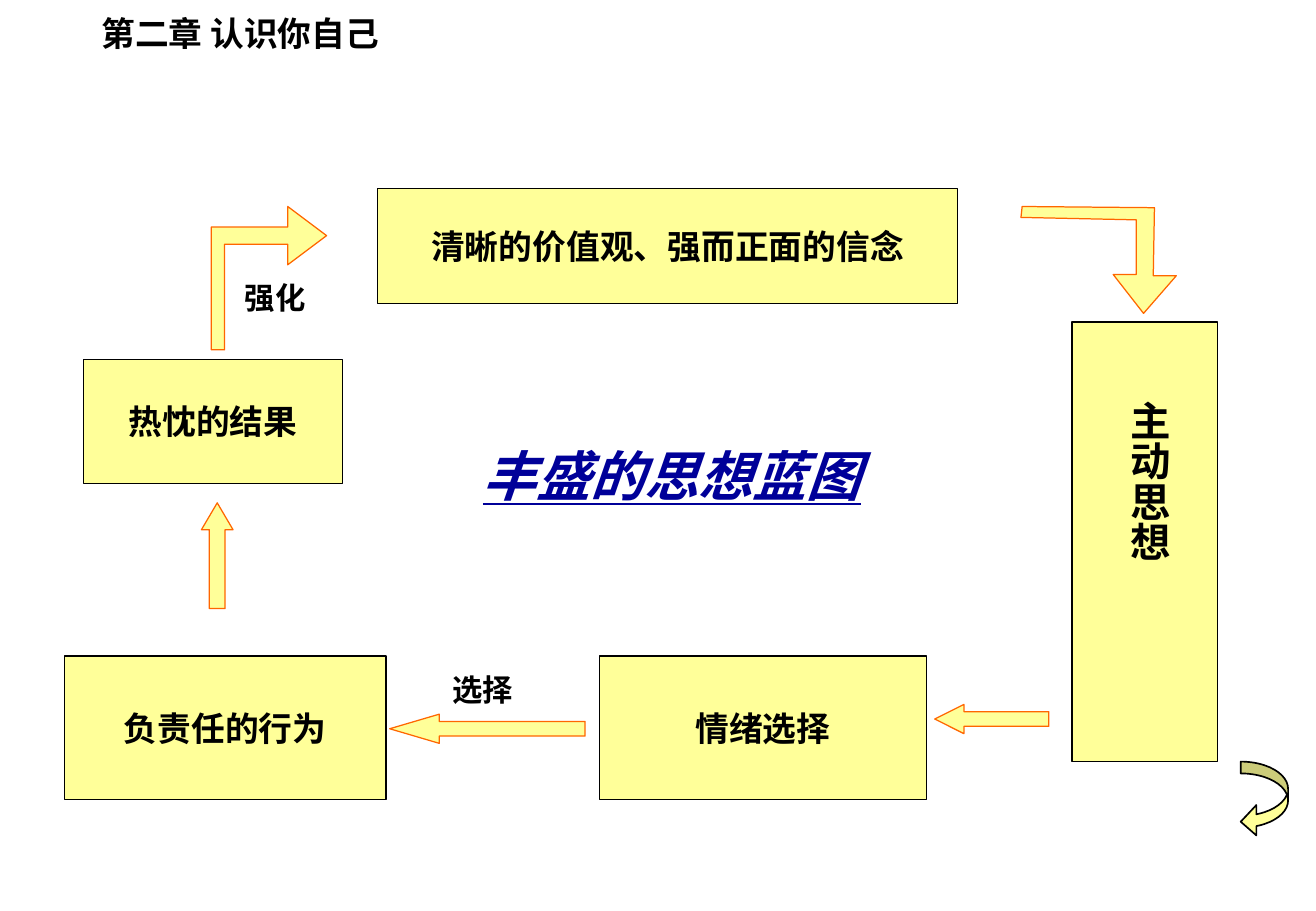
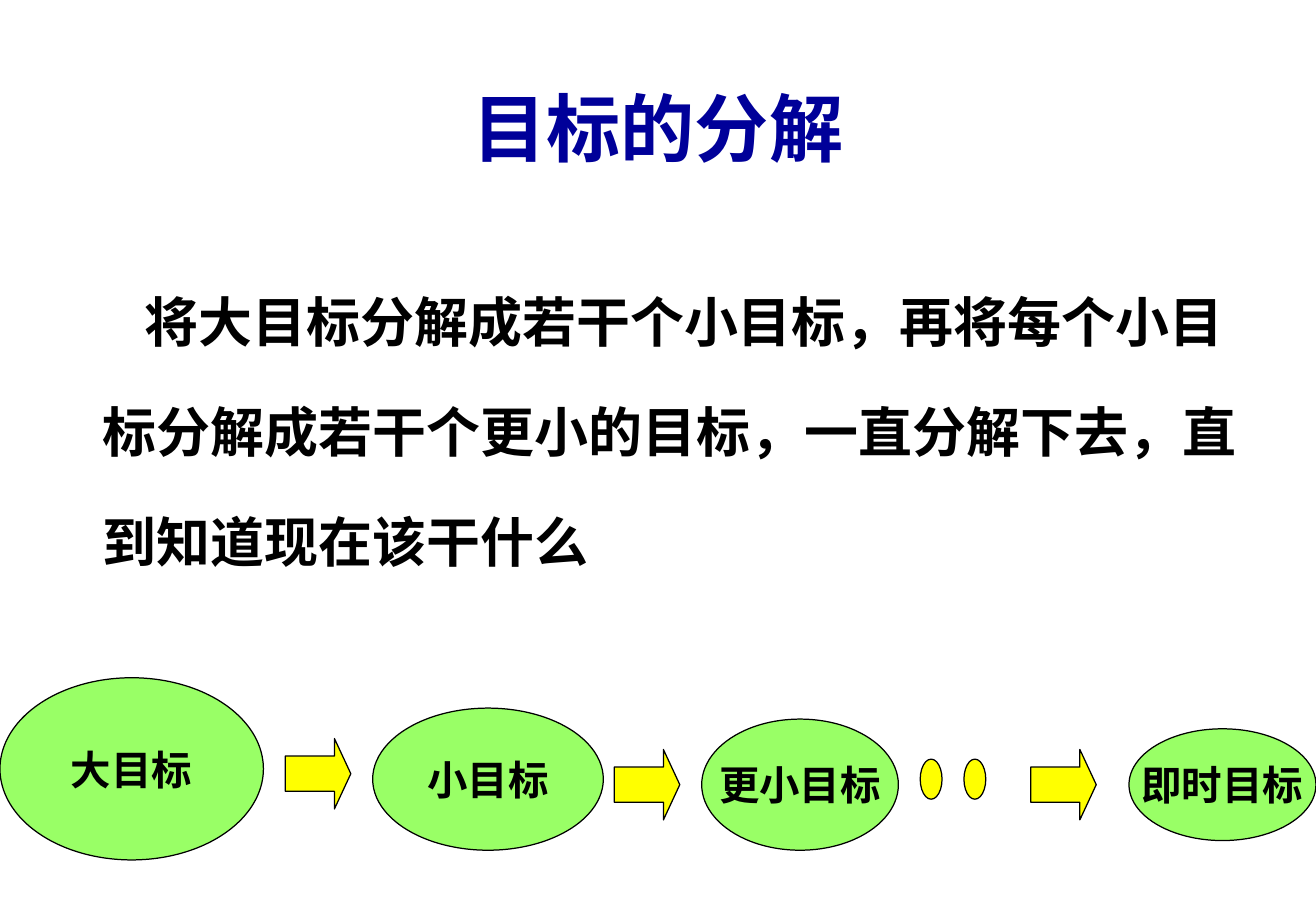
from lxml import etree
from pptx import Presentation
from pptx import util as u
from pptx.dml.color import RGBColor
from pptx.enum import shapes, text
from pptx.oxml.ns import qn

COLORS = {
    "ink": "000000",
    "navy": "000099",
    "cream": "FFFF99",
    "orange": "FF6600",
    "green": "99FF66",
    "yellow": "FFFF00",
}
CJK = "Noto Sans CJK SC"
SHAPE = shapes.MSO_SHAPE
LEFT, CENTER = text.PP_ALIGN.LEFT, text.PP_ALIGN.CENTER
TOP, MIDDLE = text.MSO_ANCHOR.TOP, text.MSO_ANCHOR.MIDDLE


def rgb(name):
    return RGBColor.from_string(COLORS[name])


def inches(values):
    return [u.Inches(v) for v in values]


class Deck:
    """Shared style and the slide being built."""

    def __init__(self, width, height):
        self.prs = Presentation()
        self.prs.slide_width, self.prs.slide_height = inches((width, height))
        self.s = None

    def slide(self, title, at, **style):
        self.s = self.prs.slides.add_slide(self.prs.slide_layouts[5])
        sp = self.s.shapes.title
        sp.left, sp.top, sp.width, sp.height = inches(at)
        self.add_words(sp, title, anchor=MIDDLE, **style)

    def add_words(self, sp, words, size=20, font="Arial", color="ink", align=CENTER,
                  anchor=TOP, wrap=True, italic=None, underline=None):
        tf = sp.text_frame
        tf.auto_size = text.MSO_AUTO_SIZE.NONE
        tf.word_wrap = wrap
        tf.vertical_anchor = anchor
        p = tf.paragraphs[0]
        p.alignment = align
        r = p.add_run()
        r.text = words
        f = r.font
        f.name, f.size, f.bold = font, u.Pt(size), True
        f.italic, f.underline = italic, underline
        f.color.rgb = rgb(color)
        ea = etree.Element(qn("a:ea"), typeface=CJK)
        r._r.rPr.find(qn("a:latin")).addnext(ea)
        return p

    def label(self, words, at, **style):
        sp = self.s.shapes.add_textbox(*inches(at))
        return sp, self.add_words(sp, words, **style)

    def vertical_label(self, words, at, **style):
        sp, _ = self.label(words, at, **style)
        tf = sp.text_frame
        tf._txBody.bodyPr.set("vert", "eaVert")
        tf.margin_left = tf.margin_right = u.Inches(0.05)
        tf.margin_top = tf.margin_bottom = u.Inches(0.1)

    def paint(self, sp, fill, line, weight=0.75):
        sp.shadow.inherit = False
        sp.fill.solid()
        sp.fill.fore_color.rgb = rgb(fill)
        sp.line.color.rgb = rgb(line)
        sp.line.width = u.Pt(weight)

    def shape(self, kind, at, fill, line="ink", weight=0.75, adj=(), words=None, **style):
        sp = self.s.shapes.add_shape(kind, *inches(at))
        for i, value in enumerate(adj):
            sp.adjustments[i] = value
        self.paint(sp, fill, line, weight)
        if words:
            self.add_words(sp, words, anchor=MIDDLE, wrap=False, **style)

    def outline(self, points, fill, line):
        start, *rest = [tuple(inches(pt)) for pt in points]
        fb = self.s.shapes.build_freeform(*start)
        fb.add_line_segments(rest, close=True)
        self.paint(fb.convert_to_shape(), fill, line)


def thought_cycle(deck):
    deck.slide("第二章 认识你自己", (0, 0, 3.96, 0.55), font=CJK)

    # Stages of the cycle
    for words, at in [
        (None, (8.83, 2.65, 1.2, 3.62)),
        ("情绪选择", (4.94, 5.4, 2.69, 1.18)),
        ("负责任的行为", (0.53, 5.4, 2.65, 1.18)),
        ("热忱的结果", (0.69, 2.96, 2.13, 1.02)),
        ("清晰的价值观、强而正面的信念", (3.11, 1.55, 4.78, 0.95)),
    ]:
        deck.shape(SHAPE.RECTANGLE, at, "cream", words=words)
    deck.vertical_label("主动思想", (9.12, 3.2, 0.6, 2.52), size=24)

    # Centre heading and arrow labels
    deck.label("丰盛的思想蓝图", (3.88, 3.59, 3.84, 0.64), size=32, color="navy",
               align=LEFT, italic=True, underline=True)
    deck.label("选择", (3.63, 5.48, 0.85, 0.4), size=18, align=LEFT)
    deck.label("强化", (1.92, 2.25, 0.94, 0.4), size=18, align=LEFT)

    # Straight arrows
    for kind, at, head in [
        (SHAPE.LEFT_ARROW, (3.21, 5.88, 1.61, 0.24), 1.7),
        (SHAPE.LEFT_ARROW, (7.7, 5.8, 0.94, 0.24), 1),
        (SHAPE.UP_ARROW, (1.66, 4.14, 0.26, 0.87), 0.85),
    ]:
        deck.shape(kind, at, "cream", "orange", adj=(0.5, head))

    # Elbow arrows
    to_beliefs = [(1.85, 2.88), (1.85, 2.01), (2.37, 2.01), (2.37, 2.18), (2.69, 1.94),
                  (2.37, 1.7), (2.37, 1.87), (1.74, 1.87), (1.74, 2.88)]
    to_thinking = [(8.41, 1.79), (9.36, 1.81), (9.36, 2.26), (9.17, 2.26), (9.42, 2.58),
                   (9.69, 2.27), (9.5, 2.27), (9.51, 1.71), (8.42, 1.7)]
    for points in (to_beliefs, to_thinking):
        deck.outline(points, "cream", "orange")

    # Return arrow
    deck.shape(SHAPE.CURVED_LEFT_ARROW, (10.22, 6.27, 0.39, 0.62), "cream",
               weight=1, adj=(0.25, 0.64, 0.33))


def goal_breakdown(deck):
    deck.slide("目标的分解", (0.36, 0.42, 10.12, 1.25), size=44, color="navy")

    # Explanation
    _, p = deck.label(
        "将大目标分解成若干个小目标，再将每个小目标分解成若干个更小的目标，"
        "一直分解下去，直到知道现在该干什么",
        (0.37, 1.96, 10.1, 2.94), size=32, font=CJK, align=LEFT)
    p.line_spacing = u.Pt(65)
    pPr = p._p.get_or_add_pPr()
    pPr.set("marL", str(u.Inches(0.38)))
    pPr.set("indent", str(u.Inches(0.34)))

    # Goals, from large to immediate
    for words, at in [
        ("大目标", (0, 5.58, 2.17, 1.5)),
        ("小目标", (3.07, 5.83, 1.9, 1.17)),
        ("更小目标", (5.78, 5.92, 1.62, 1.08)),
        ("即时目标", (9.3, 6, 1.54, 0.92)),
    ]:
        deck.shape(SHAPE.OVAL, at, "green", words=words, size=24, font="Cabin")

    # Arrows and ellipsis dots
    for x, y in [(2.35, 6.08), (5.06, 6.17), (8.49, 6.17)]:
        deck.shape(SHAPE.RIGHT_ARROW, (x, y, 0.54, 0.58), "yellow", adj=(0.5, 0.25))
    for x in (7.58, 7.94):
        deck.shape(SHAPE.OVAL, (x, 6.25, 0.18, 0.33), "yellow")


def main():
    deck = Deck(10.84, 7.5)
    thought_cycle(deck)
    goal_breakdown(deck)
    deck.prs.save("out.pptx")


if __name__ == "__main__":
    main()
